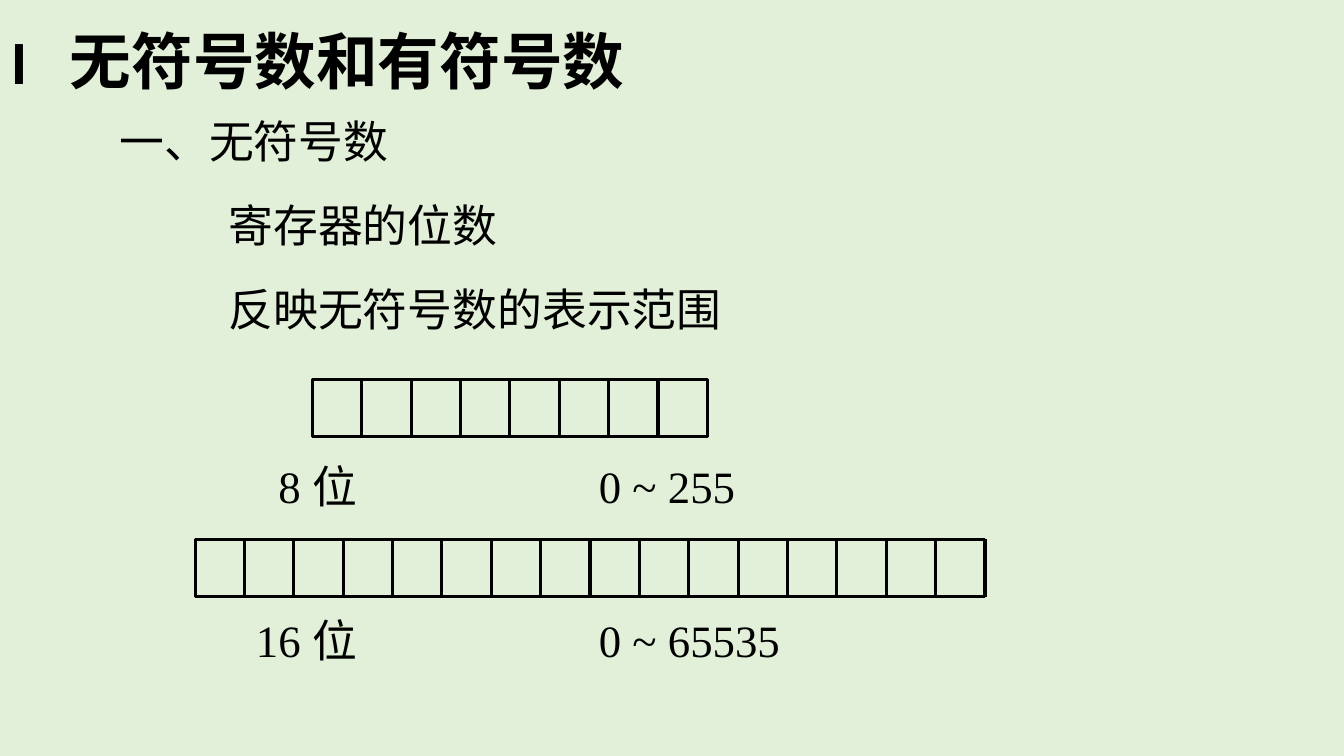
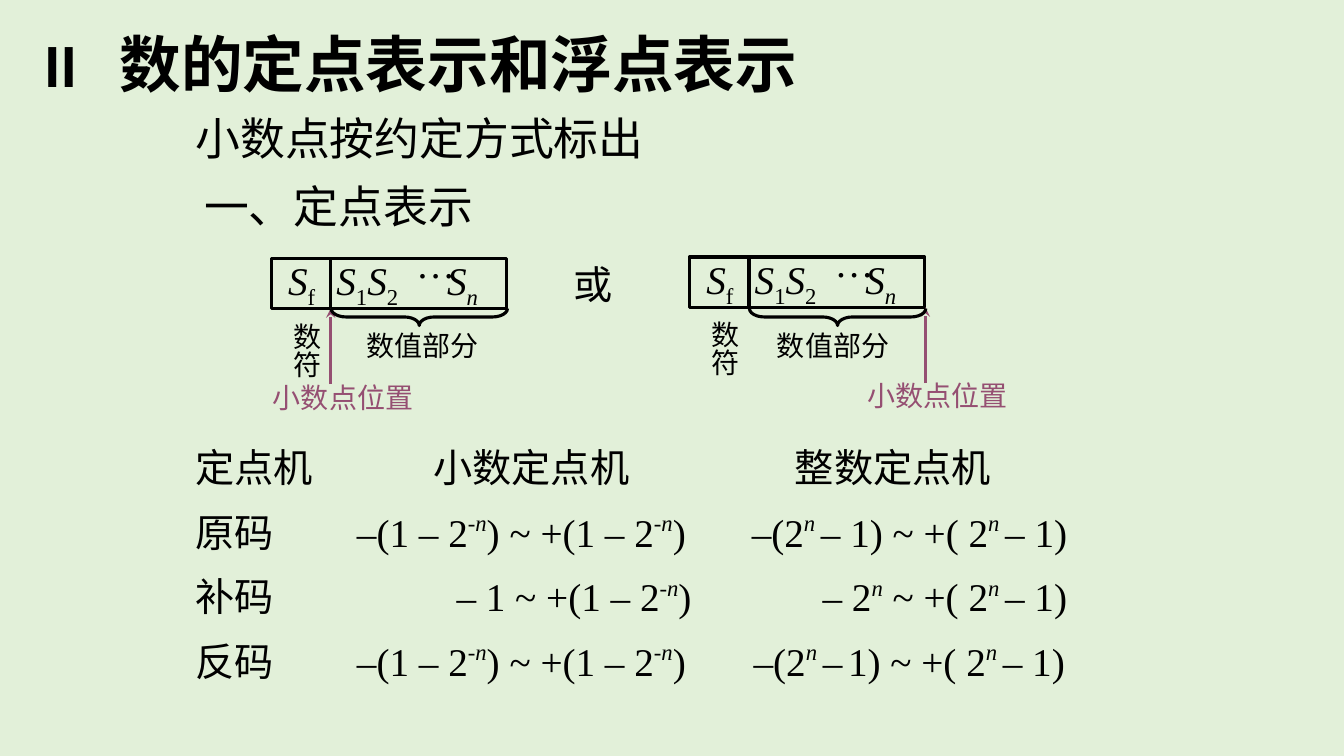
from dataclasses import dataclass

import pptx
import pptx.dml.color
import pptx.enum.shapes
import pptx.enum.text
import pptx.oxml
import pptx.oxml.ns
import pptx.util
from pptx.slide import Slide

Pt = pptx.util.Pt
SHAPES = pptx.enum.shapes.MSO_SHAPE
ALIGN = pptx.enum.text.PP_ALIGN
ANCHOR = pptx.enum.text.MSO_ANCHOR

COLORS = {"background": "E2F0D9", "ink": "000000", "point": "954F72"}
TITLE_FONT = "Calibri"
BODY_FONT = "Times New Roman"
LINE_WIDTH = 2.25
CELL_W, CELL_H = 35.26, 40.8
BYTE = 8
BYTE_RULES = (0, 1, 2, 3, 4, 6, 7, 8)
HIGH_BYTE_RULES = (0, 2, 3, 4, 6)
SUB, SUP = -25, 40


@dataclass(frozen=True)
class Run:
    text: str
    italic: bool = False
    base: int = 0


@dataclass(frozen=True)
class Label:
    x: float
    y: float
    w: float
    runs: tuple[Run, ...]
    size: float = 32
    h: float = 45
    color: str = "ink"
    font: str = BODY_FONT
    bold: bool = False
    align: ALIGN = ALIGN.LEFT
    tabs: tuple[float, ...] = ()
    spacing: float = 1.0
    middle: bool = False
    vertical: bool = False


@dataclass(frozen=True)
class Register:
    x: float
    y: float
    byte_rules: tuple[tuple[int, ...], ...]
    label_y: float
    limits: str


@dataclass(frozen=True)
class FixedWord:
    x: float
    y: float
    point_dx: float
    value_dx: float


def plain(text: str) -> tuple[Run, ...]:
    return (Run(text),)


def rgb(name: str) -> pptx.dml.color.RGBColor:
    return pptx.dml.color.RGBColor.from_string(COLORS[name])


def add_label(s: Slide, label: Label) -> None:
    sp = s.shapes.add_textbox(Pt(label.x), Pt(label.y), Pt(label.w), Pt(label.h))
    tf = sp.text_frame
    tf.word_wrap = not label.vertical
    if label.middle:
        tf.vertical_anchor = ANCHOR.MIDDLE
    if label.vertical:
        tf._txBody.bodyPr.set("vert", "eaVert")
    p = tf.paragraphs[0]
    if label.tabs:
        tab_list = pptx.oxml.parse_xml(f"<a:tabLst {pptx.oxml.ns.nsdecls('a')}/>")
        for pos in label.tabs:
            tab = tab_list.makeelement(pptx.oxml.ns.qn("a:tab"), {"pos": str(Pt(pos)), "algn": "l"})
            tab_list.append(tab)
        p._p.get_or_add_pPr().append(tab_list)
    p.alignment = label.align
    p.line_spacing = label.spacing
    for run in label.runs:
        r = p.add_run()
        r.text = run.text
        r.font.name = label.font
        r.font.size = Pt(label.size)
        r.font.bold = label.bold
        r.font.italic = run.italic
        r.font.color.rgb = rgb(label.color)
        rpr = r._r.get_or_add_rPr()
        rpr.set("lang", "zh-CN")
        if run.base:
            rpr.set("baseline", str(run.base * 1000))


def add_outline(s: Slide, kind: SHAPES, x: float, y: float, w: float, h: float):
    sp = s.shapes.add_shape(kind, Pt(x), Pt(y), Pt(w), Pt(h))
    sp.shadow.inherit = False
    sp.fill.background()
    sp.line.color.rgb = rgb("ink")
    sp.line.width = Pt(LINE_WIDTH)
    return sp


def add_line(s: Slide, x1: float, y1: float, x2: float, y2: float,
             color: str = "ink", arrow: bool = False) -> None:
    line = s.shapes.add_connector(
        pptx.enum.shapes.MSO_CONNECTOR.STRAIGHT, Pt(x1), Pt(y1), Pt(x2), Pt(y2)
    )
    line.line.color.rgb = rgb(color)
    line.line.width = Pt(LINE_WIDTH)
    ns = pptx.oxml.ns.nsdecls("a")
    if arrow:
        ln = line.line._get_or_add_ln()
        ln.append(pptx.oxml.parse_xml(f'<a:tailEnd {ns} type="stealth"/>'))
    line._element.spPr.append(pptx.oxml.parse_xml(f"<a:effectLst {ns}/>"))


def add_slide(prs, number: str, title: str, x: float, y: float, tab: float) -> Slide:
    s = prs.slides.add_slide(prs.slide_layouts[6])
    s.background.fill.solid()
    s.background.fill.fore_color.rgb = rgb("background")
    add_label(s, Label(x, y, 612, plain(f"{number}\t{title}"), 44, 90, font=TITLE_FONT,
                       bold=True, tabs=(tab,), spacing=0.9, middle=True))
    return s


def add_byte(s: Slide, x: float, y: float, rules: tuple[int, ...]) -> None:
    bottom = y + CELL_H
    for i in range(BYTE):
        add_outline(s, SHAPES.RECTANGLE, x + i * CELL_W, y, CELL_W, CELL_H)
    for edge in (y, bottom):
        add_line(s, x, edge, x + BYTE * CELL_W, edge)
    for i in rules:
        add_line(s, x + i * CELL_W, y, x + i * CELL_W, bottom)


def add_register(s: Slide, reg: Register) -> None:
    for i, rules in enumerate(reg.byte_rules):
        add_byte(s, reg.x + i * BYTE * CELL_W, reg.y, rules)
    bits = BYTE * len(reg.byte_rules)
    add_label(s, Label(162, reg.label_y, 100, plain(f"{bits} 位"), align=ALIGN.RIGHT))
    add_label(s, Label(420.7, reg.label_y, 200, plain(reg.limits)))


def add_fixed_word(s: Slide, word: FixedWord) -> None:
    x, y = word.x, word.y
    symbols = (
        Run("S", True), Run("f", base=SUB), Run("\t"),
        Run("S", True), Run("1", base=SUB), Run("S", True), Run("2", base=SUB), Run("\t"),
        Run("S", True), Run("n", True, SUB),
    )
    add_label(s, Label(x + 5, y - 4.6, 170, symbols, 28, 41, tabs=(34.5, 113.5)))
    add_label(s, Label(x + 96.5, y - 16.8, 43, plain("…"), 28, 41))
    add_outline(s, SHAPES.RECTANGLE, x, y, 168, 36)
    add_line(s, x + 42.5, y, x + 42.5, y + 36)
    point_x = x + word.point_dx
    add_line(s, point_x, y + 90, point_x, y + 36, "point", arrow=True)
    add_label(s, Label(x + 1.5, y + 38.8, 39, plain("数符"), 20, 48, vertical=True))
    add_label(s, Label(x + word.value_dx, 231, 96, plain("数值部分"), 20, 31))
    add_label(s, Label(point_x - 48.3, y + 83.5, 116, plain("小数点位置"), 20, 31, "point"))
    brace = add_outline(s, SHAPES.LEFT_BRACE, x + 99.7, 163.4, 12.2, 126)
    brace.rotation = 270
    brace.adjustments[0] = 0.875
    brace.adjustments[1] = 0.5


def powers(*parts: str, minus: bool = False) -> tuple[Run, ...]:
    runs = [Run(parts[0])]
    for part in parts[1:]:
        if minus:
            runs.append(Run("-", base=SUP))
        runs += [Run("n " if part.startswith("–") else "n", True, SUP), Run(part)]
    return tuple(runs)


def build_unsigned(prs) -> None:
    s = add_slide(prs, "I", "无符号数和有符号数", 0.7, 1.4, 42.2)
    for x, y, w, text in (
        (78.3, 78, 210, "一、无符号数"),
        (156.2, 138, 272, "寄存器的位数"),
        (156.2, 198, 420, "反映无符号数的表示范围"),
    ):
        add_label(s, Label(x, y, w, plain(text)))
    for reg in (
        Register(223.2, 271.3, (BYTE_RULES,), 324, "0 ~ 255"),
        Register(139.4, 385.3, (HIGH_BYTE_RULES, BYTE_RULES), 434, "0 ~ 65535"),
    ):
        add_register(s, reg)


def build_fixed_point(prs) -> None:
    s = add_slide(prs, "II", "数的定点表示和浮点表示", 24.5, 3.3, 53.8)
    add_label(s, Label(132.5, 75.6, 337, plain("小数点按约定方式标出")))
    add_label(s, Label(138.7, 123.8, 210, plain("一、定点表示")))

    for word in (FixedWord(193.7, 184.4, 42.5, 61.2), FixedWord(492.5, 183.6, 168.5, 55.4)):
        add_fixed_word(s, word)
    add_label(s, Label(402.5, 182.2, 44, plain("或"), 28, 41))

    fraction = powers("–(1 – 2", ") ~ +(1 – 2", ")", minus=True)
    integer = powers("–(2", "– 1) ~ +( 2", "– 1)")
    tight_integer = (
        *powers("–(2", "–"), Run(" ", base=SUP), *powers("1) ~ +( 2", "– 1)"),
    )
    rows = (
        ("定点机", 302.6, plain("小数定点机"), 560.7, plain("整数定点机")),
        ("原码", 247.9, fraction, 529.9, integer),
        ("补码", 319, powers("– 1 ~ +(1 – 2", ")", minus=True),
         580.5, powers("– 2", " ~ +( 2", "– 1)")),
        ("反码", 247.9, fraction, 531.2, tight_integer),
    )
    for i, (name, fraction_x, fraction_runs, integer_x, integer_runs) in enumerate(rows):
        y = 313.2 + i * 46.1
        add_label(s, Label(132.5, y, 100, plain(name), 28, 41))
        add_label(s, Label(fraction_x, y, 256, fraction_runs, 28, 41))
        add_label(s, Label(integer_x, y, 256, integer_runs, 28, 41))


def main() -> None:
    prs = pptx.Presentation()
    prs.slide_width, prs.slide_height = Pt(960), Pt(540)
    build_unsigned(prs)
    build_fixed_point(prs)
    prs.save("out.pptx")


if __name__ == "__main__":
    main()
